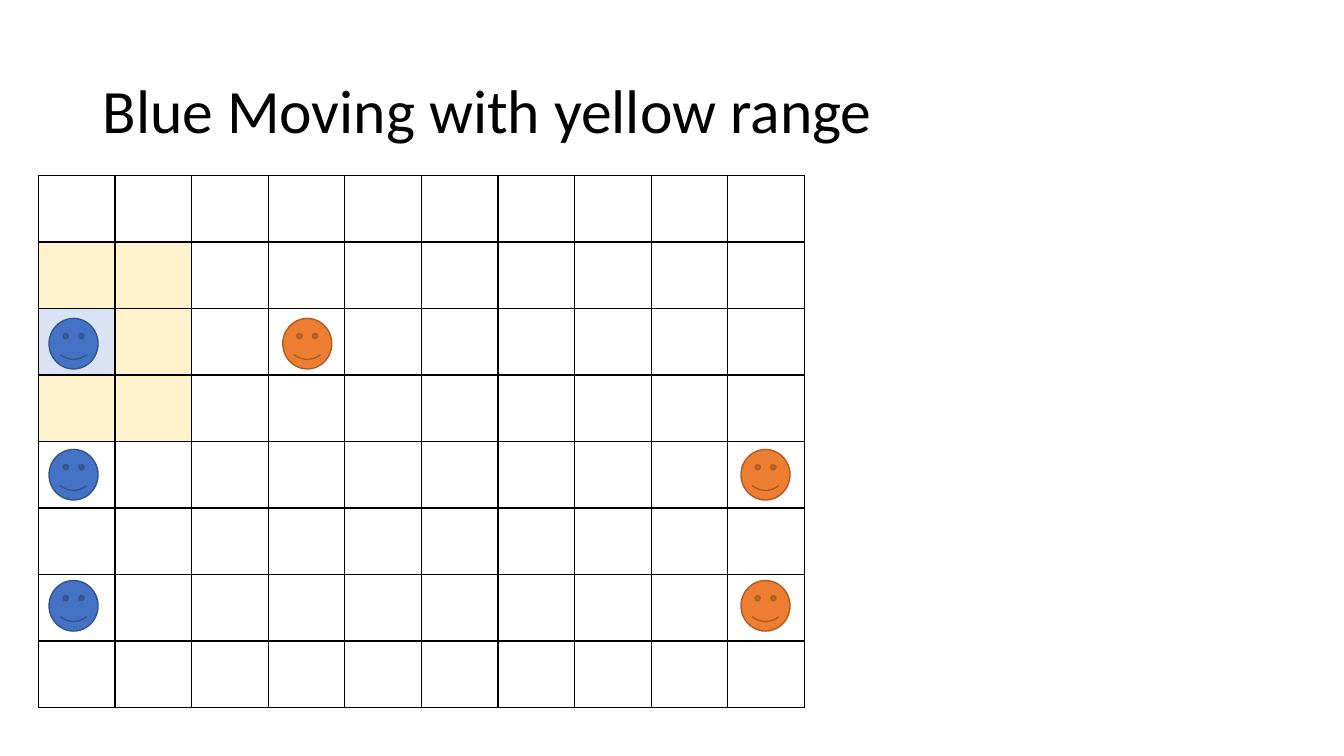
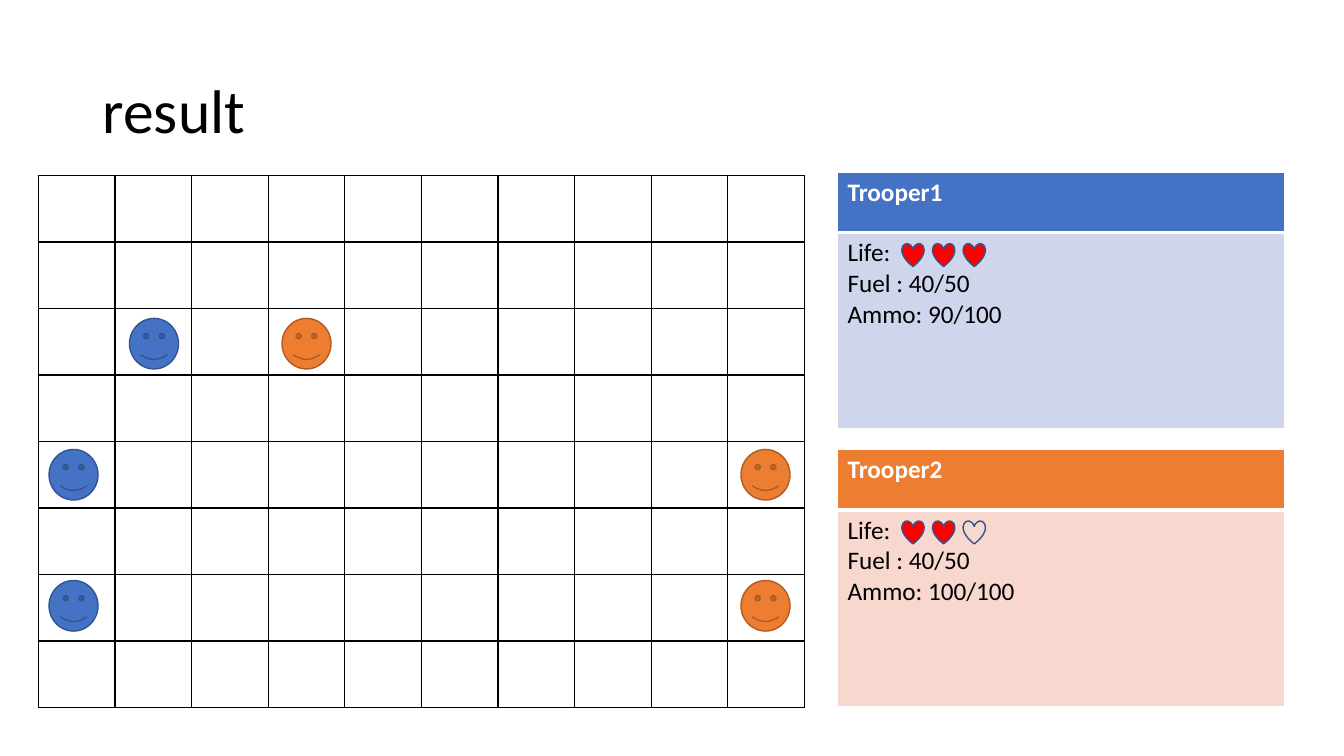
from lxml import etree
from pptx import Presentation
from pptx.dml.color import RGBColor
from pptx.enum.shapes import MSO_SHAPE
from pptx.enum.text import MSO_ANCHOR
from pptx.oxml.ns import qn
from pptx.util import Inches, Pt

FACE = MSO_SHAPE.SMILEY_FACE
HEART = MSO_SHAPE.HEART
MIDDLE = MSO_ANCHOR.MIDDLE

COLORS = {
    "black": "000000",
    "white": "FFFFFF",
    "blue": "4472C4",
    "blue_line": "325491",
    "blue_tint": "CFD5EA",
    "orange": "ED7D31",
    "orange_line": "AF5C24",
    "orange_tint": "F8D7CE",
    "red": "FF0000",
    "range": "FFF2CC",
    "selected": "DAE3F3",
}
FONT = "Calibri"
COLUMN, ROW = 0.76, 0.66
BOARD_LEFT, BOARD_TOP = 0.38, 1.74
BOARD_COLUMNS, BOARD_ROWS = 10, 8
LANES = (2, 3.97, 5.94)


def color(name):
    return RGBColor.from_string(COLORS[name])


class Deck:
    def __init__(self):
        self.presentation = Presentation()
        self.presentation.slide_width = Inches(13.33)
        self.presentation.slide_height = Inches(7.5)
        self.slide = None

    def box(self, column, row, columns, rows):
        return (
            Inches(BOARD_LEFT + column * COLUMN),
            Inches(BOARD_TOP + row * ROW),
            Inches(columns * COLUMN),
            Inches(rows * ROW),
        )

    def add_slide(self, title):
        self.slide = self.presentation.slides.add_slide(self.presentation.slide_layouts[6])
        frame = self.slide.shapes.add_textbox(*self.box(0.71, -2.03, 15.13, 2.2)).text_frame
        frame.word_wrap = True
        frame.vertical_anchor = MIDDLE
        self.set_text(frame, [title], 44, "black")
        frame.paragraphs[0].line_spacing = 0.9

    def set_text(self, frame, lines, size, text_color, bold=False):
        frame.text = "\n".join(lines)
        for paragraph in frame.paragraphs:
            for run in paragraph.runs:
                run.font.name = FONT
                run.font.size = Pt(size)
                run.font.bold = bold
                run.font.color.rgb = color(text_color)

    def table(self, column, row, columns, heights):
        rows = len(heights)
        area = self.box(column, row, sum(columns), sum(heights))
        table = self.slide.shapes.add_table(rows, len(columns), *area).table
        table.first_row = table.horz_banding = False
        for table_column, width in zip(table.columns, columns):
            table_column.width = Inches(width * COLUMN)
        for table_row, height in zip(table.rows, heights):
            table_row.height = Inches(height * ROW)
        return table

    def style_cell(self, cell, fill, border, top=1, bottom=1):
        properties = cell._tc.get_or_add_tcPr()
        for side, width in (("L", 1), ("R", 1), ("T", top), ("B", bottom)):
            line = etree.SubElement(properties, qn("a:ln" + side), w=str(Pt(width)))
            solid = etree.SubElement(line, qn("a:solidFill"))
            etree.SubElement(solid, qn("a:srgbClr"), val=COLORS[border])
        self.paint(cell.fill, fill)

    def paint(self, fill, name):
        if name:
            fill.solid()
            fill.fore_color.rgb = color(name)
        else:
            fill.background()

    def shape(self, kind, area, fill, line):
        shape = self.slide.shapes.add_shape(kind, *self.box(*area))
        shape.shadow.inherit = False
        self.paint(shape.fill, fill)
        shape.line.color.rgb = color(line)
        shape.line.width = Pt(1)

    def board(self, highlights):
        table = self.table(0, 0, [1] * BOARD_COLUMNS, [1] * BOARD_ROWS)
        for row in range(BOARD_ROWS):
            for column in range(BOARD_COLUMNS):
                self.style_cell(table.cell(row, column), highlights.get((row, column)), "black")

    def team(self, name, columns):
        for column, row in zip(columns, LANES):
            self.shape(FACE, (column + 0.14, row + 0.15, 0.64, 0.76), name, name + "_line")

    def card(self, row, name, team, lives, ammo):
        left = 10.43
        table = self.table(left, row, [5.84], [0.91, 2.95])
        header, body = table.cell(0, 0), table.cell(1, 0)
        self.style_cell(header, team, "white", bottom=3)
        self.style_cell(body, team + "_tint", "white", top=3)
        self.set_text(header.text_frame, [name], 18, "white", bold=True)
        self.set_text(body.text_frame, ["Life:", "Fuel : 40/50", f"Ammo: {ammo}/100"], 18, "black")
        for heart in range(3):
            area = (left + 0.84 + heart * 0.4, row + 1.07, 0.29, 0.35)
            self.shape(HEART, area, "red" if heart < lives else None, "blue_line")


deck = Deck()

move_range = {(row, column): "range" for row in (1, 2, 3) for column in (0, 1)}
move_range[2, 0] = "selected"
deck.add_slide("Blue Moving with yellow range")
deck.board(move_range)
deck.team("blue", (0, 0, 0))
deck.team("orange", (3.05, 9.03, 9.03))

deck.add_slide("result")
deck.board({})
deck.team("blue", (1.05, 0, 0))
deck.team("orange", (3.04, 9.03, 9.03))
deck.card(-0.05, "Trooper1", "blue", 3, 90)
deck.card(4.12, "Trooper2", "orange", 2, 100)

deck.presentation.save("out.pptx")
